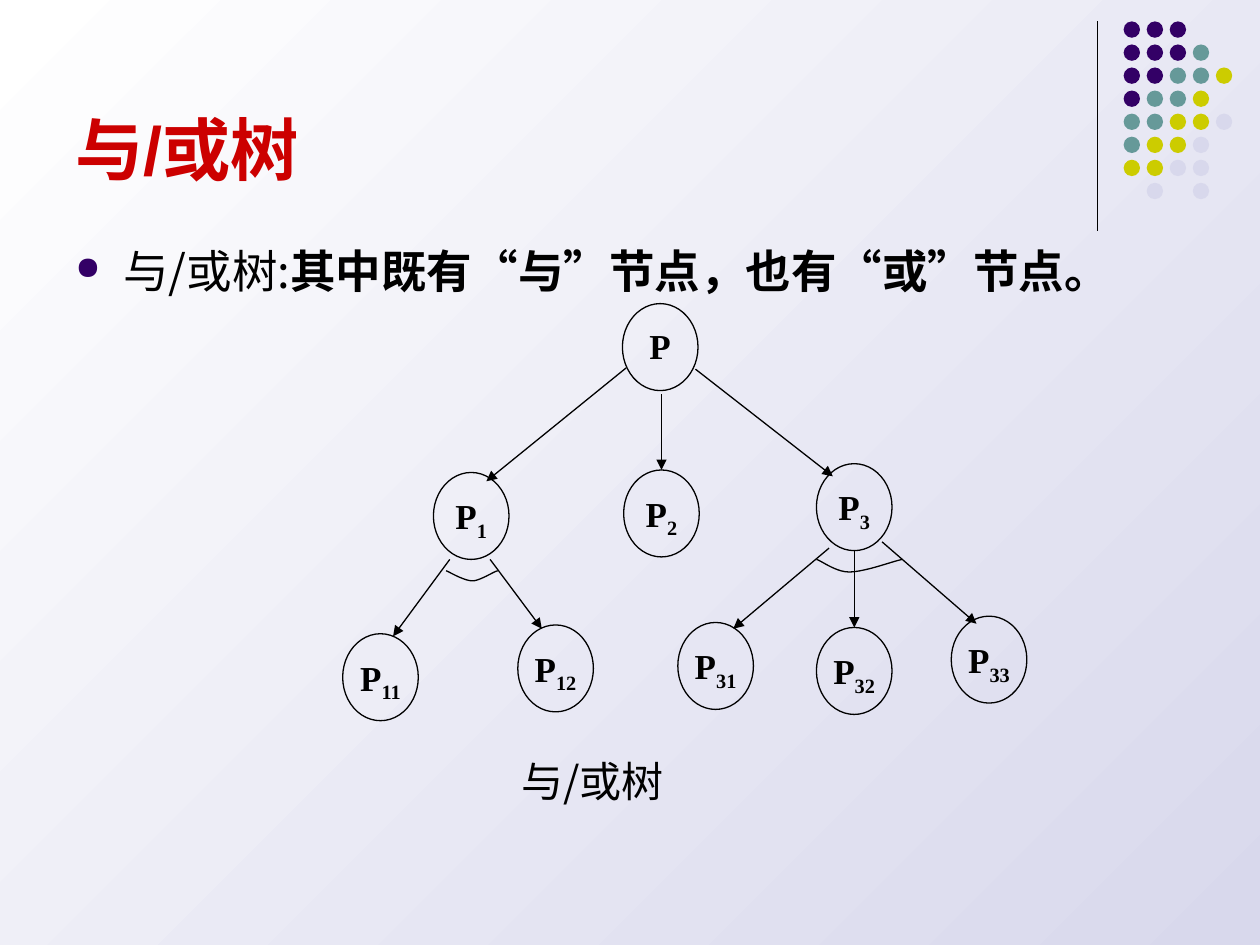
import pptx
import pptx.dml.color
import pptx.enum.shapes
import pptx.enum.text
import pptx.oxml.ns
import pptx.oxml.xmlchemy
import pptx.util
from lxml import etree

COLUMNS, ROWS = 100, 75          # grid over the slide
CELL = pptx.util.Inches(0.1)     # side of one grid cell
BLACK, RED, PURPLE, TEAL, OLIVE, LILAC = (
    "000000", "CC0000", "330066", "669999", "CCCC00", "D8D8EC")
CJK, SANS, SERIF = "Noto Sans CJK SC", "Arial", "Times New Roman"
OVAL = pptx.enum.shapes.MSO_SHAPE.OVAL
STRAIGHT = pptx.enum.shapes.MSO_CONNECTOR.STRAIGHT
ANCHOR = pptx.enum.text.MSO_ANCHOR

DOT_PATTERN = ["PPP", "PPPT", "PPTTO", "PTTO", "TTOOL", "TOOL", "OOLL", " L L"]
DOT_COLORS = {"P": PURPLE, "T": TEAL, "O": OLIVE, "L": LILAC}

# Places in the tree are columns and rows from its top left corner
NODE_SIZE = (6, 6.9)
NODES = {
    "": (22.2, 0), "2": (22.3, 13.2), "3": (37.6, 12.7), "1": (7.2, 13.4),
    "11": (0, 26.2), "12": (13.9, 25.5), "31": (26.6, 25.3),
    "32": (37.6, 25.7), "33": (48.3, 24.8),
}
# child: (start of its arrow, end of its arrow)
BRANCHES = {
    "2": ((25.3, 7.2), (25.3, 13.2)), "1": ((22.5, 5.1), (11.4, 14.1)),
    "3": ((28, 5.2), (38.9, 13.7)), "11": ((8.5, 20.3), (4, 26.4)),
    "12": ((11.7, 20.3), (15.8, 25.8)), "32": ((40.6, 19.6), (40.6, 25.7)),
    "31": ((38.6, 19.4), (31, 25.8)), "33": ((42.8, 18.9), (50.3, 25.4)),
}
UPRIGHT = ("2", "32")            # children met at the top of their circle
# Each arc joins two Bezier pieces which share the middle point
AND_ARCS = [
    [(8.2, 21.2), (8.5, 21.3), (9.6, 22), (10.3, 22),
     (10.9, 22), (11.9, 21.3), (12.3, 21.2)],
    [(37.6, 20.3), (38, 20.4), (39.1, 21.3), (40.2, 21.3),
     (41.4, 21.3), (43.5, 20.5), (44.4, 20.3)],
]


def grid(*cells):
    return [pptx.util.Emu(round(cell * CELL)) for cell in cells]


def rgb(value):
    return pptx.dml.color.RGBColor.from_string(value)


def add_xml(parent, tag, **attributes):
    return etree.SubElement(parent, pptx.oxml.ns.qn(tag), attributes)


def style_font(font, size, color, name, bold=False):
    font.size, font.name, font.bold = pptx.util.Pt(size), name, bold
    font.color.rgb = rgb(color)


def outline(shape):
    shape.line.color.rgb = rgb(BLACK)
    shape.line.width = pptx.util.Pt(0.75)


def add_line(shapes, start, end):
    line = shapes.add_connector(STRAIGHT, *grid(*start, *end))
    outline(line)
    add_xml(line._element.spPr, "a:effectLst")
    return line


def add_text(slide, box, anchor, wrap=True):
    frame = slide.shapes.add_textbox(*grid(*box)).text_frame
    frame.word_wrap, frame.vertical_anchor = wrap, anchor
    return frame.paragraphs[0]


def background(slide):
    fill = slide.background.fill
    fill.gradient()
    fill.gradient_angle = 135
    for stop, color in zip(fill.gradient_stops, (LILAC, "FFFFFF")):
        stop.color.rgb = rgb(color)


def corner_ornament(slide, box):
    left, top, width, height = box
    add_line(slide.shapes, (left, top), (left, top + height))
    dots = slide.shapes.add_group_shape().shapes
    size, pitch = 1.3, 1.83
    first = left + width - 4 * pitch - size
    for row, pattern in enumerate(DOT_PATTERN):
        for column, key in enumerate(pattern):
            if key == " ":
                continue
            dot = dots.add_shape(OVAL, *grid(
                first + column * pitch, top + row * pitch, size, size))
            dot.shadow.inherit = False
            dot.fill.solid()
            dot.fill.fore_color.rgb = rgb(DOT_COLORS[key])
            dot.line.fill.background()


def heading(slide, box):
    title = add_text(slide, box, ANCHOR.BOTTOM)
    title.text = "与/或树"
    style_font(title.font, 39, RED, SANS, bold=True)


def definition(slide, box):
    sentence = add_text(slide, box, ANCHOR.TOP)
    # Hanging bullet
    properties = sentence._p.get_or_add_pPr()
    indent = pptx.util.Inches(0.38)
    properties.set("marL", str(indent))
    properties.set("indent", str(-indent))
    add_xml(add_xml(properties, "a:buClr"), "a:srgbClr", val=PURPLE)
    add_xml(properties, "a:buSzPct", val="70000")
    add_xml(properties, "a:buChar", char="●")
    for words, name, bold in (("与/或树:", CJK, False),
                              ("其中既有“与”节点，也有“或”节点。", SANS, True)):
        run = sentence.add_run()
        run.text = words
        style_font(run.font, 26, BLACK, name, bold)


def tree_node(shapes, left, top, index):
    node = shapes.add_shape(OVAL, *grid(left, top, *NODE_SIZE))
    node.shadow.inherit = False
    node.fill.background()
    outline(node)
    frame = node.text_frame
    frame.margin_left = frame.margin_top = 0
    frame.margin_right = frame.margin_bottom = 0
    frame.vertical_anchor = ANCHOR.TOP
    label = frame.paragraphs[0]
    label.alignment = pptx.enum.text.PP_ALIGN.CENTER
    label.line_spacing = 1.2
    style_font(label.font, 20, BLACK, SERIF, bold=True)
    label.add_run().text = "P"
    if index:
        subscript = label.add_run()
        subscript.text = index
        subscript.font._element.set("baseline", "-25000")
    return node


def bezier(points, steps=10):
    for step in range(1, steps + 1):
        t = step / steps
        weights = ((1 - t) ** 3, 3 * t * (1 - t) ** 2, 3 * t * t * (1 - t), t ** 3)
        yield tuple(sum(w * p[axis] for w, p in zip(weights, points))
                    for axis in (0, 1))


def and_or_tree(slide, box):
    left, top = box[:2]
    shapes = slide.shapes.add_group_shape().shapes

    def place(point):
        return left + point[0], top + point[1]

    nodes = {index: tree_node(shapes, *place(corner), index)
             for index, corner in NODES.items()}
    for child, (start, end) in BRANCHES.items():
        arrow = add_line(shapes, place(start), place(end))
        add_xml(arrow.line._get_or_add_ln(), "a:tailEnd", type="triangle")
        if child in UPRIGHT:
            arrow.end_connect(nodes[child], 0)
    for points in AND_ARCS:
        curve = [*bezier(points[:4]), *bezier(points[3:])]
        builder = shapes.build_freeform(*grid(*place(points[0])))
        builder.add_line_segments([grid(*place(p)) for p in curve], close=False)
        arc = builder.convert_to_shape()
        arc.shadow.inherit = False
        arc.fill.background()
        outline(arc)


def caption(slide, box):
    name = add_text(slide, box, ANCHOR.MIDDLE, wrap=False)
    name.text = "与/或树"
    style_font(name.font, 24, BLACK, CJK)


def main():
    deck = pptx.Presentation()
    deck.slide_width, deck.slide_height = grid(COLUMNS, ROWS)
    slide = deck.slides.add_slide(deck.slide_layouts[6])
    background(slide)
    corner_ornament(slide, (87.1, 1.7, 10.7, 16.6))
    heading(slide, (5, 1.3, 82.5, 14.2))
    definition(slide, (5, 18.8, 90, 48.2))
    and_or_tree(slide, (27.2, 24.1))
    caption(slide, (40.4, 59.5, 15, 5))
    deck.save("out.pptx")


if __name__ == "__main__":
    main()
